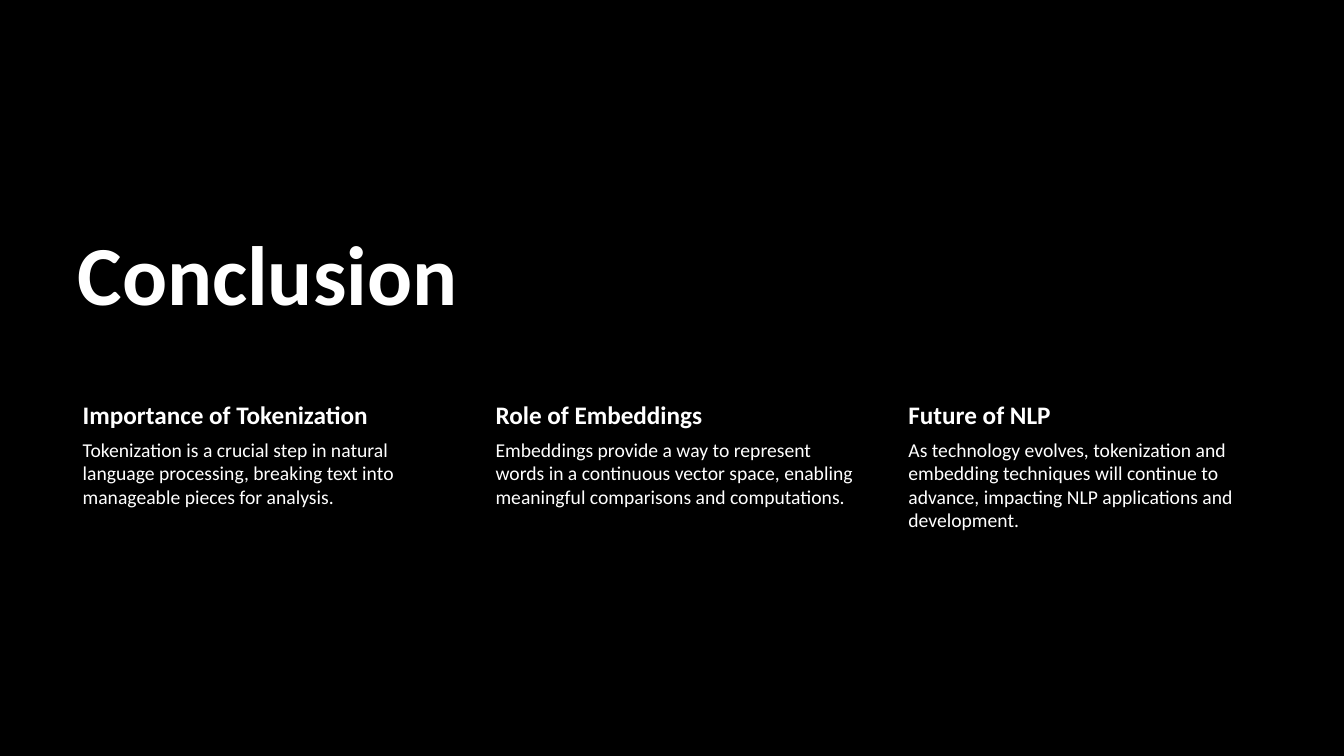
"""Build the conclusion slide with three takeaways on tokenization and embeddings."""
from dataclasses import dataclass

import pptx
import pptx.dml.color
import pptx.enum.text
import pptx.slide
import pptx.text.text
import pptx.util

Inches = pptx.util.Inches
Pt = pptx.util.Pt
BLACK = pptx.dml.color.RGBColor(0x00, 0x00, 0x00)
WHITE = pptx.dml.color.RGBColor(0xFF, 0xFF, 0xFF)
FONT = "Calibri"

LEFT = 0.67
COLUMN_PITCH = 4.095
COLUMN_WIDTH = 3.72
HEADING_TOP, HEADING_HEIGHT = 3.93, 0.39
DETAIL_HEIGHT = 2.33


@dataclass(frozen=True)
class Takeaway:
    heading: str
    detail: str


TAKEAWAYS = (
    Takeaway(
        "Importance of Tokenization",
        "Tokenization is a crucial step in natural language processing, "
        "breaking text into manageable pieces for analysis.",
    ),
    Takeaway(
        "Role of Embeddings",
        "Embeddings provide a way to represent words in a continuous vector space, "
        "enabling meaningful comparisons and computations.",
    ),
    Takeaway(
        "Future of NLP",
        "As technology evolves, tokenization and embedding techniques will continue "
        "to advance, impacting NLP applications and development.",
    ),
)


def write(frame: pptx.text.text.TextFrame, text: str, size: float, bold: bool) -> None:
    frame.word_wrap = True
    frame.auto_size = pptx.enum.text.MSO_AUTO_SIZE.NONE
    paragraph = frame.paragraphs[0]
    paragraph.alignment = pptx.enum.text.PP_ALIGN.LEFT
    run = paragraph.add_run()
    run.text = text
    run.font.name = FONT
    run.font.size = Pt(size)
    run.font.bold = bold
    run.font.color.rgb = WHITE


def add_title(slide: pptx.slide.Slide, text: str) -> None:
    title = slide.shapes.title
    title.left, title.top = Inches(LEFT), Inches(2.02)
    title.width, title.height = Inches(8.03), Inches(1.24)
    write(title.text_frame, text, 60, True)
    title.text_frame.vertical_anchor = pptx.enum.text.MSO_ANCHOR.BOTTOM
    title.text_frame.paragraphs[0].line_spacing = 0.9


def add_text(slide: pptx.slide.Slide, text: str, left: float, top: float,
             height: float, inset: float, size: float, bold: bool) -> None:
    box = slide.shapes.add_textbox(
        Inches(left), Inches(top), Inches(COLUMN_WIDTH), Inches(height))
    frame = box.text_frame
    frame.margin_left = Inches(0.15)
    frame.margin_top = frame.margin_right = frame.margin_bottom = Inches(inset)
    frame.vertical_anchor = pptx.enum.text.MSO_ANCHOR.TOP
    write(frame, text, size, bold)


def add_takeaway(slide: pptx.slide.Slide, takeaway: Takeaway, left: float) -> None:
    add_text(slide, takeaway.heading, left, HEADING_TOP, HEADING_HEIGHT, 0.03, 18, True)
    add_text(slide, takeaway.detail, left, HEADING_TOP + HEADING_HEIGHT,
             DETAIL_HEIGHT, 0.02, 14, False)


def main() -> None:
    deck = pptx.Presentation()
    deck.slide_width, deck.slide_height = Inches(13.33), Inches(7.5)
    slide = deck.slides.add_slide(deck.slide_layouts.get_by_name("Title Only"))
    slide.background.fill.solid()
    slide.background.fill.fore_color.rgb = BLACK
    add_title(slide, "Conclusion")
    for column, takeaway in enumerate(TAKEAWAYS):
        add_takeaway(slide, takeaway, LEFT + column * COLUMN_PITCH)
    deck.save("out.pptx")


if __name__ == "__main__":
    main()
